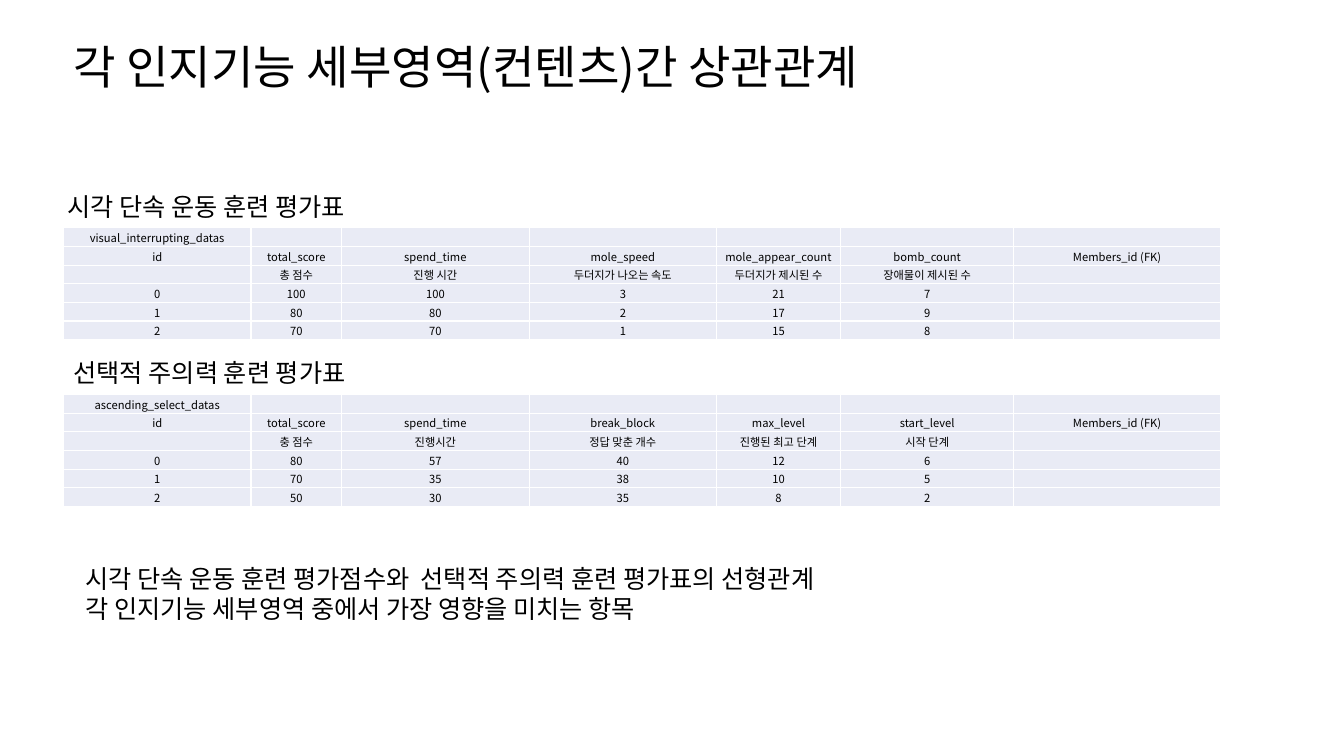
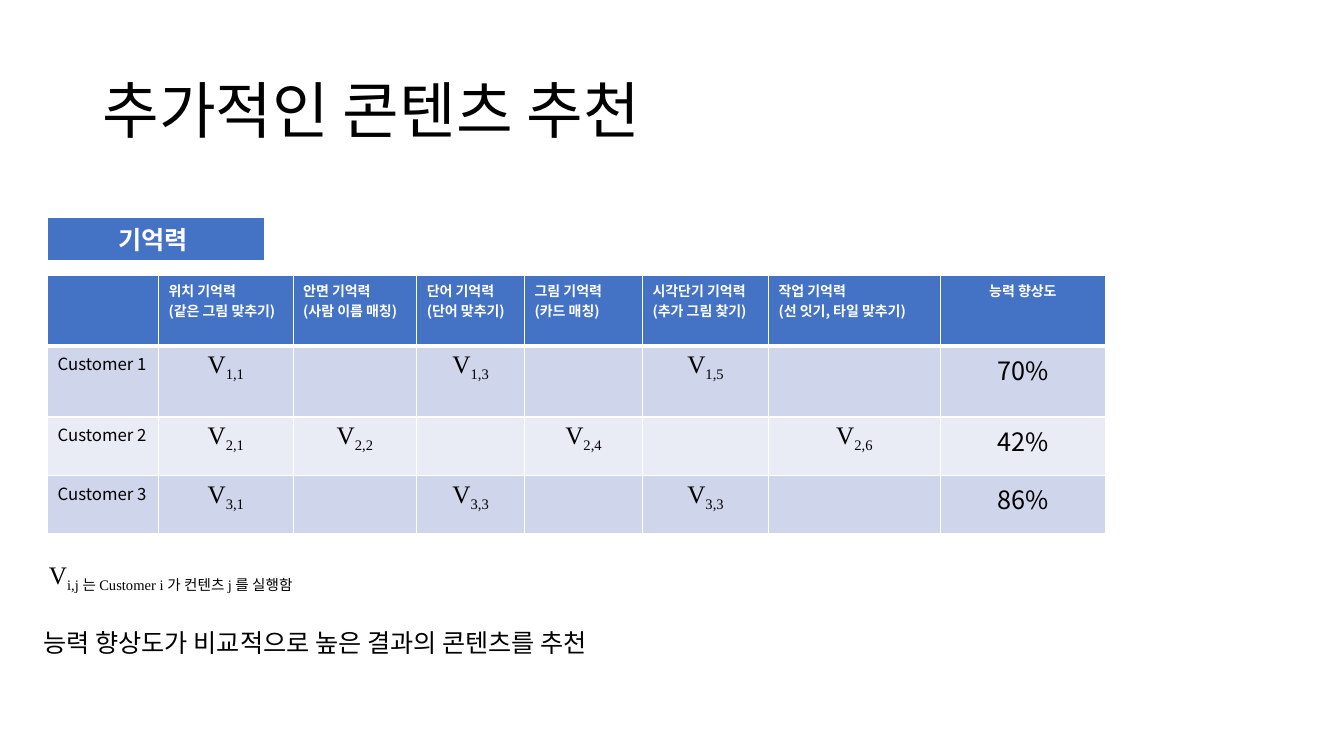
from lxml.etree import SubElement
from pptx import Presentation
from pptx.dml.color import RGBColor
from pptx.enum.text import MSO_ANCHOR, PP_ALIGN
from pptx.oxml import parse_xml
from pptx.oxml.ns import nsdecls, qn
from pptx.util import Pt

BLACK = RGBColor(0x00, 0x00, 0x00)
WHITE = RGBColor(0xFF, 0xFF, 0xFF)
BLUE = RGBColor(0x44, 0x72, 0xC4)
BAND_DARK = RGBColor(0xCF, 0xD5, 0xEA)
BAND_LIGHT = RGBColor(0xE9, 0xEB, 0xF5)
SANS = "Noto Sans CJK KR"
SERIF = "Times New Roman"
LINE_PITCH = Pt(21.6)


def style_text(frame, size, color=BLACK, bold=False, align=PP_ALIGN.LEFT, spacing=None):
    for para in frame.paragraphs:
        para.alignment = align
        para.line_spacing = spacing
        para._p.get_or_add_endParaRPr().set("sz", str(size * 100))
        for span in para.runs:
            span.font.size = Pt(size)
            span.font.bold = bold
            span.font.color.rgb = color
            span.font.name = span.font.name or SANS
            SubElement(span._r.get_or_add_rPr(), qn("a:ea")).set("typeface", SANS)


def add_grid(page, left, top, widths, heights, fills, thick_header=False):
    frame = page.shapes.add_table(len(heights), len(widths), Pt(left), Pt(top),
                                  Pt(sum(widths)), Pt(sum(heights)))
    table = frame.table
    table.first_row = False
    table.horz_banding = False
    for column, width in zip(table.columns, widths):
        column.width = Pt(width)
    for number, (row, height) in enumerate(zip(table.rows, heights)):
        row.height = Pt(height)
        for cell in row.cells:
            cell.fill.solid()
            cell.fill.fore_color.rgb = fills[number]
            for position, side in enumerate(("L", "R", "T", "B")):
                heavy = thick_header and (number, side) in ((0, "B"), (1, "T"))
                weight = Pt(3 if heavy else 1)
                border = parse_xml(
                    f'<a:ln{side} {nsdecls("a")} w="{weight}"><a:solidFill>'
                    f'<a:srgbClr val="{WHITE}"/></a:solidFill></a:ln{side}>')
                cell._tc.get_or_add_tcPr().insert(position, border)
    return table


deck = Presentation()
deck.slide_width = Pt(960)
deck.slide_height = Pt(540)
blank = deck.slide_layouts[6]
scores_page = deck.slides.add_slide(blank)
advice_page = deck.slides.add_slide(blank)

titles = [
    (scores_page, "각 인지기능 세부영역(컨텐츠)간 상관관계", 45.4, 22, 56, 33),
    (advice_page, "추가적인 콘텐츠 추천", 66.2, 28.8, 104.4, 44),
]
for page, title, left, top, height, size in titles:
    box = page.shapes.add_textbox(Pt(left), Pt(top), Pt(828), Pt(height))
    box.text_frame.word_wrap = True
    box.text_frame.vertical_anchor = MSO_ANCHOR.MIDDLE
    box.text_frame.text = title
    style_text(box.text_frame, size, spacing=0.9)

score_tables = [
    (162.7, [
        ["visual_interrupting_datas", "", "", "", "", "", ""],
        ["id", "total_score", "spend_time", "mole_speed", "mole_appear_count",
         "bomb_count", "Members_id (FK)"],
        ["", "총 점수", "진행 시간", "두더지가 나오는 속도", "두더지가 제시된 수",
         "장애물이 제시된 수", ""],
        ["0", "100", "100", "3", "21", "7", ""],
        ["1", "80", "80", "2", "17", "9", ""],
        ["2", "70", "70", "1", "15", "8", ""],
    ]),
    (281.8, [
        ["ascending_select_datas", "", "", "", "", "", ""],
        ["id", "total_score", "spend_time", "break_block", "max_level",
         "start_level", "Members_id (FK)"],
        ["", "충 점수", "진행시간", "정답 맞춘 개수", "진행된 최고 단계", "시작 단계", ""],
        ["0", "80", "57", "40", "12", "6", ""],
        ["1", "70", "35", "38", "10", "5", ""],
        ["2", "50", "30", "35", "8", "2", ""],
    ]),
]
score_widths = [133.9, 64.8, 133.9, 133.9, 88.6, 123.8, 147.6]
for top, rows in score_tables:
    table = add_grid(scores_page, 45.4, top, score_widths, [13.35] * len(rows),
                     [BAND_LIGHT] * len(rows))
    for row, texts in zip(table.rows, rows):
        for cell, text in zip(row.cells, texts):
            cell.text_frame.text = text
            cell.vertical_anchor = MSO_ANCHOR.MIDDLE
            cell.margin_left = cell.margin_right = cell.margin_top = Pt(0.7)
            cell.margin_bottom = Pt(0)
            style_text(cell.text_frame, 8, align=PP_ALIGN.CENTER)

captions = [
    ("시각 단속 운동 훈련 평가표", 41, 133.2, 300, 28.8),
    ("선택적 주의력 훈련 평가표", 45.4, 252, 300, 28.8),
    ("시각 단속 운동 훈련 평가점수와  선택적 주의력 훈련 평가표의 선형관계\n"
     "각 인지기능 세부영역 중에서 가장 영향을 미치는 항목", 54, 398.9, 799, 51),
]
for text, left, top, width, height in captions:
    box = scores_page.shapes.add_textbox(Pt(left), Pt(top), Pt(width), Pt(height))
    box.text_frame.word_wrap = True
    box.text_frame.text = text
    style_text(box.text_frame, 18, spacing=LINE_PITCH)

memory_headers = [
    "", "위치 기억력\n(같은 그림 맞추기)", "안면 기억력\n(사람 이름 매칭)",
    "단어 기억력\n(단어 맞추기)", "그림 기억력\n(카드 매칭)",
    "시각단기 기억력\n(추가 그림 찾기)", "작업 기억력\n(선 잇기, 타일 맞추기)", "능력 향상도",
]
customers = [
    ("Customer 1", {1: "1,1", 3: "1,3", 5: "1,5"}, "70%"),
    ("Customer 2", {1: "2,1", 2: "2,2", 4: "2,4", 6: "2,6"}, "42%"),
    ("Customer 3", {1: "3,1", 3: "3,3", 5: "3,3"}, "86%"),
]
memory_widths = [79.2, 96.2, 88.3, 77, 84.3, 90, 122.8, 117.8]
memory_table = add_grid(advice_page, 34, 196.8, memory_widths, [50.4, 50.6, 42, 41.6],
                        [BLUE, BAND_DARK, BAND_LIGHT, BAND_DARK], thick_header=True)
last = len(memory_widths) - 1
for column, header in enumerate(memory_headers):
    frame = memory_table.cell(0, column).text_frame
    frame.text = header
    align = PP_ALIGN.CENTER if column == last else PP_ALIGN.LEFT
    style_text(frame, 10, WHITE, True, align)

for row, (customer, visits, gain) in enumerate(customers, 1):
    name_frame = memory_table.cell(row, 0).text_frame
    name_frame.text = customer
    style_text(name_frame, 12)
    for column, index in visits.items():
        frame = memory_table.cell(row, column).text_frame
        for text in ("V", index):
            span = frame.paragraphs[0].add_run()
            span.text = text
            span.font.name = SERIF
        span._r.get_or_add_rPr().set("baseline", "-24000")
        style_text(frame, 18, align=PP_ALIGN.CENTER)
    gain_frame = memory_table.cell(row, last).text_frame
    gain_frame.text = gain
    style_text(gain_frame, 18, align=PP_ALIGN.CENTER)

heading = add_grid(advice_page, 34, 155, [155], [31.4], [BLUE]).cell(0, 0)
heading.text_frame.text = "기억력 "
heading.vertical_anchor = MSO_ANCHOR.MIDDLE
heading.margin_top = heading.margin_bottom = Pt(0)
style_text(heading.text_frame, 18, WHITE, True, PP_ALIGN.CENTER)

box = advice_page.shapes.add_textbox(Pt(23.8), Pt(398.9), Pt(810), Pt(72.7))
box.text_frame.word_wrap = True
legend = box.text_frame.paragraphs[0]
for text, font in ((" ", SANS), ("V", SERIF), ("i,j 는 Customer i 가 컨텐츠 j 를 실행함", SERIF)):
    span = legend.add_run()
    span.text = text
    span.font.name = font
span._r.get_or_add_rPr().set("baseline", "-24000")
conclusion = box.text_frame.add_paragraph()
conclusion.text = "능력 향상도가 비교적으로 높은 결과의 콘텐츠를 추천"
conclusion.space_before = Pt(24)
style_text(box.text_frame, 18, spacing=LINE_PITCH)

deck.save("out.pptx")
